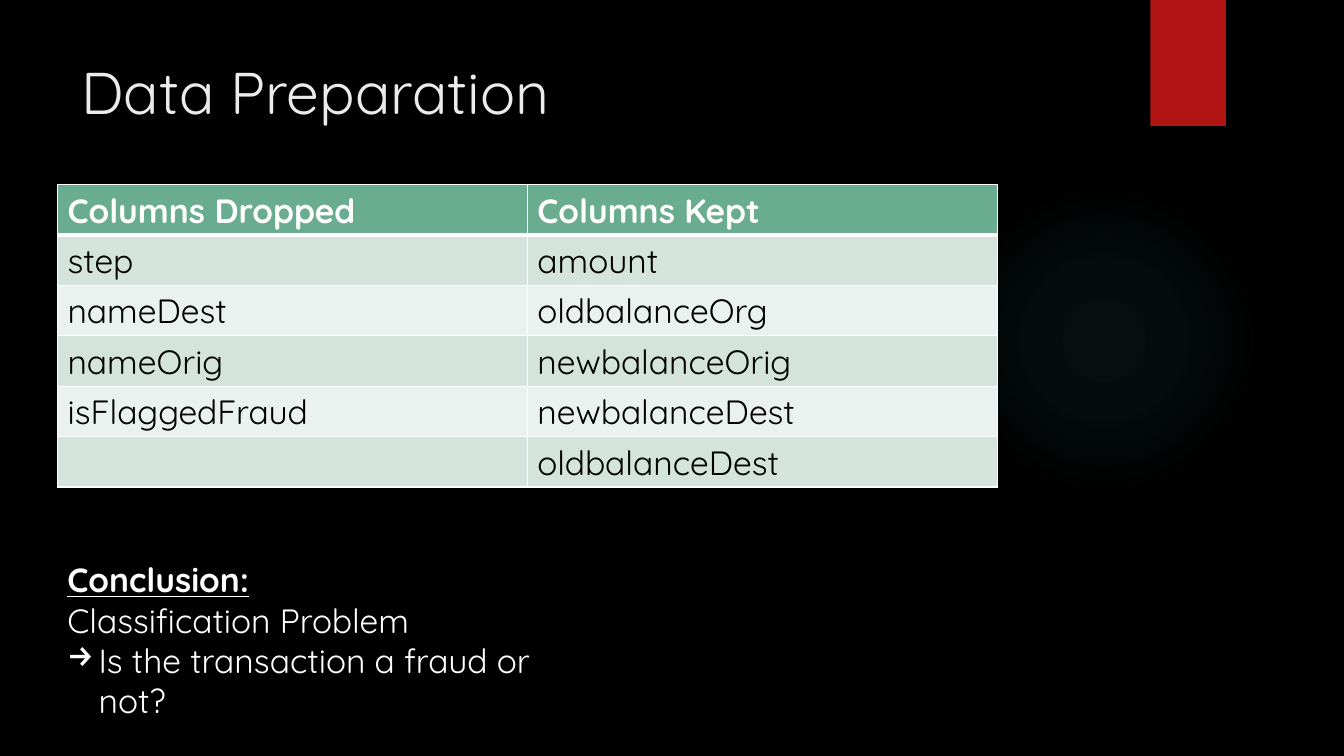
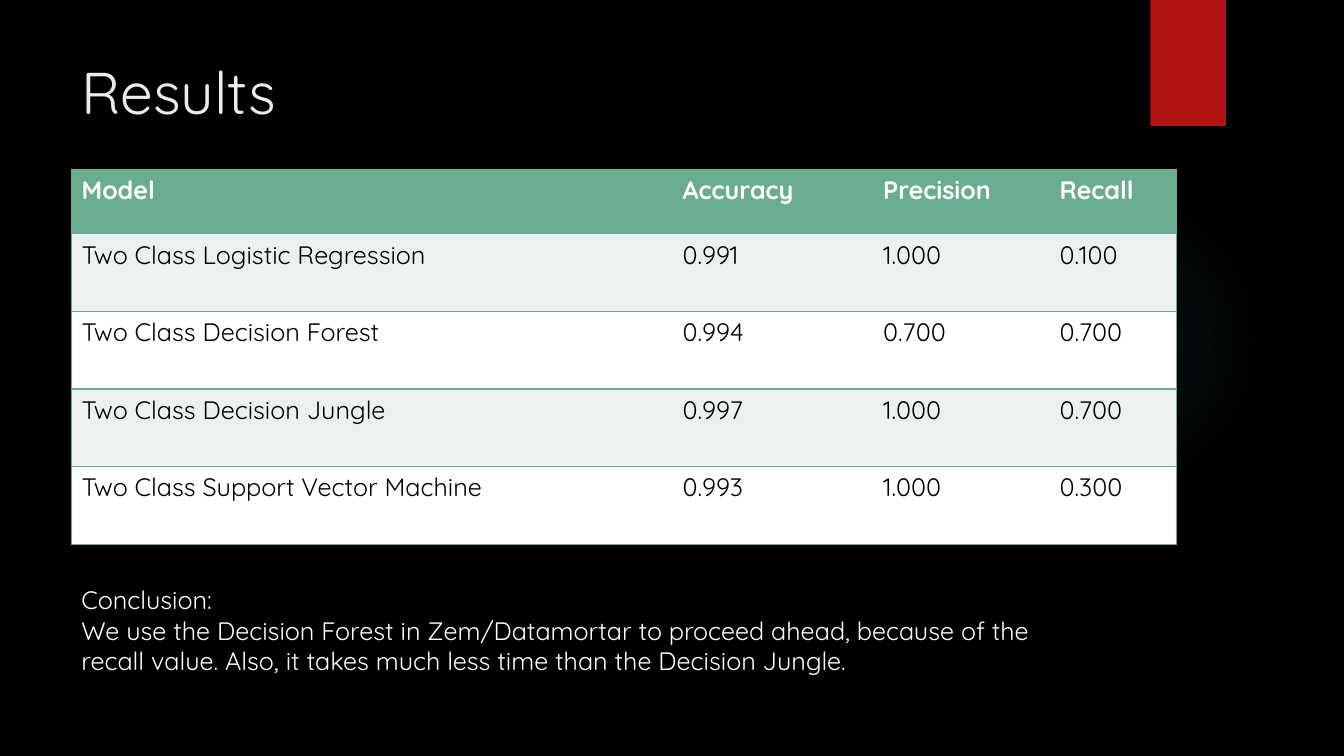
from pptx import Presentation
from pptx.dml.color import RGBColor
from pptx.enum.shapes import MSO_SHAPE
from pptx.enum.text import MSO_ANCHOR, MSO_AUTO_SIZE
from pptx.oxml import parse_xml
from pptx.oxml.ns import nsdecls, qn
from pptx.util import Emu, Pt

RECTANGLE, OVAL = MSO_SHAPE.RECTANGLE, MSO_SHAPE.OVAL
TOP = MSO_ANCHOR.TOP
GROW = MSO_AUTO_SIZE.SHAPE_TO_FIT_TEXT

EMU_PER_PX = 9144  # 100 px to the inch
FONT = "Quicksand"
COLORS = {
    "background": "000000",
    "title": "EBEBEB",
    "ribbon": "B01513",
    "glow": "50B9C1",
    "green": "6AAC90",
    "band": "D4E3DB",
    "pale": "EBF1EE",
    "white": "FFFFFF",
    "black": "000000",
}

PREPARATION = [
    ("Columns Dropped", "Columns Kept"),
    ("step", "amount"),
    ("nameDest", "oldbalanceOrg"),
    ("nameOrig", "newbalanceOrig"),
    ("isFlaggedFraud", "newbalanceDest"),
    ("", "oldbalanceDest"),
]
RESULTS = [
    ("Model", "Accuracy", "Precision", "Recall"),
    ("Two Class Logistic Regression", "0.991", "1.000", "0.100"),
    ("Two Class Decision Forest", "0.994", "0.700", "0.700"),
    ("Two Class Decision Jungle", "0.997", "1.000", "0.700"),
    ("Two Class Support Vector Machine", "0.993", "1.000", "0.300"),
]


def px(length):
    return Emu(length * EMU_PER_PX)


def rgb(name):
    return RGBColor.from_string(COLORS[name])


# Text
def add_span(para, text, size, color, bold=False, underline=False):
    span = para.add_run()
    span.text = text
    font = span.font
    font.name, font.size = FONT, Pt(size)
    font.bold, font.underline = bold, underline
    font.color.rgb = rgb(color)


def add_arrow_bullet(para, indent):
    props = para._p.get_or_add_pPr()
    props.set("marL", str(px(indent)))
    props.set("indent", str(-px(indent)))
    props.append(parse_xml(f'<a:buChar {nsdecls("a")} char="→"/>'))


def add_text(slide, at, lines, size, color="white", auto_size=None):
    """Each line is (text, style); returns the paragraphs."""
    frame = slide.shapes.add_textbox(*map(px, at)).text_frame
    frame.word_wrap = True
    frame.vertical_anchor = TOP
    if auto_size is not None:
        frame.auto_size = auto_size
    for number, (text, style) in enumerate(lines):
        para = frame.add_paragraph() if number else frame.paragraphs[0]
        add_span(para, text, size, color, **style)
    return frame.paragraphs


# Slide frame
def add_plain_shape(slide, kind, at, color):
    shape = slide.shapes.add_shape(kind, *map(px, at))
    shape.shadow.inherit = False
    shape.fill.solid()
    shape.fill.fore_color.rgb = rgb(color)
    shape.line.fill.background()
    return shape


def add_glow(slide):
    props = add_plain_shape(slide, OVAL, (941, 183, 308, 308), "glow")._element.spPr
    stops = "".join(
        f'<a:gs pos="{place * 1000}"><a:srgbClr val="{COLORS["glow"]}">'
        f'<a:alpha val="{alpha * 1000}"/></a:srgbClr></a:gs>'
        for place, alpha in ((0, 7), (36, 6), (69, 0))
    )
    gradient = parse_xml(
        f'<a:gradFill {nsdecls("a")}><a:gsLst>{stops}</a:gsLst><a:path path="circle">'
        '<a:fillToRect l="50000" t="50000" r="50000" b="50000"/></a:path></a:gradFill>'
    )
    props.replace(props.find(qn("a:solidFill")), gradient)


def add_ribbon(slide):
    props = add_plain_shape(slide, RECTANGLE, (1141, 0, 75, 125), "ribbon")._element.spPr
    props.find(qn("a:effectLst")).append(parse_xml(
        f'<a:outerShdw {nsdecls("a")} blurRad="{Pt(3)}" dist="{Pt(2)}" dir="5400000">'
        f'<a:srgbClr val="{COLORS["black"]}"><a:alpha val="45000"/></a:srgbClr></a:outerShdw>'
    ))


def add_slide(deck, title):
    slide = deck.slides.add_slide(deck.slide_layouts[6])
    add_glow(slide)
    add_ribbon(slide)
    add_text(slide, (71, 50, 1029, 153), [(title, {})], 42, "title")
    return slide


# Tables
def set_borders(cell, borders):
    """Borders map a side (L, R, T, B) to (color, width), or to None for no line."""
    props = cell._tc.get_or_add_tcPr()
    for index, side in enumerate("LRTB"):
        color, width = borders[side] or (None, 0)
        fill = (f'<a:solidFill><a:srgbClr val="{COLORS[color]}"/></a:solidFill>'
                if color else "<a:noFill/>")
        props.insert(index, parse_xml(
            f'<a:ln{side} {nsdecls("a")} w="{Pt(width)}">{fill}</a:ln{side}>'))


def add_table(slide, left, top, columns, heights, rows, size, bands, borders_at):
    """Bands alternate below the header; borders_at(row, column) gives a cell's lines."""
    table = slide.shapes.add_table(
        len(rows), len(columns), px(left), px(top), px(sum(columns)), px(sum(heights))).table
    table.first_row = table.horz_banding = False
    for column, width in zip(table.columns, columns):
        column.width = px(width)
    for r, (values, height) in enumerate(zip(rows, heights)):
        table.rows[r].height = px(height)
        for c, value in enumerate(values):
            cell = table.cell(r, c)
            cell.fill.solid()
            cell.fill.fore_color.rgb = rgb(bands[(r - 1) % 2] if r else "green")
            if value:
                add_span(cell.text_frame.paragraphs[0], value, size,
                         "black" if r else "white", bold=r == 0)
            set_borders(cell, borders_at(r, c))


def grid_borders(row, column):
    thin, thick = ("white", 1), ("white", 3)
    return {"L": thin, "R": thin,
            "T": thick if row == 1 else thin, "B": thick if row == 0 else thin}


def ruled_borders(row, column):
    line = ("green", 1)
    return {"L": line if column == 0 else None,
            "R": line if column == len(RESULTS[0]) - 1 else None,
            "T": line, "B": line}


# Slides
def add_preparation(deck):
    slide = add_slide(deck, "Data Preparation")
    add_table(slide, 57, 183, [466] * 2, [49] * len(PREPARATION), PREPARATION, 24,
              ("band", "pale"), grid_borders)
    paras = add_text(slide, (57, 550, 553, 172), [
        ("Conclusion:", {"bold": True, "underline": True}),
        ("Classification Problem", {}),
        ("Is the transaction a fraud or not?", {}),
    ], 24, auto_size=GROW)
    add_arrow_bullet(paras[-1], 31)


def add_results(deck):
    slide = add_slide(deck, "Results")
    add_table(slide, 71, 168, [596, 199, 175, 126], [64] + [77] * 4, RESULTS, 18,
              ("pale", "white"), ruled_borders)
    add_text(slide, (71, 575, 997, 101), [
        ("Conclusion:", {}),
        ("We use the Decision Forest in Zem/Datamortar to proceed ahead, because of the "
         "recall value. Also, it takes much less time than the Decision Jungle.", {}),
    ], 18, auto_size=GROW)


def main():
    deck = Presentation()
    deck.slide_width, deck.slide_height = px(1333), px(750)
    background = deck.slide_master.background.fill
    background.solid()
    background.fore_color.rgb = rgb("background")
    add_preparation(deck)
    add_results(deck)
    deck.save("out.pptx")


if __name__ == "__main__":
    main()
